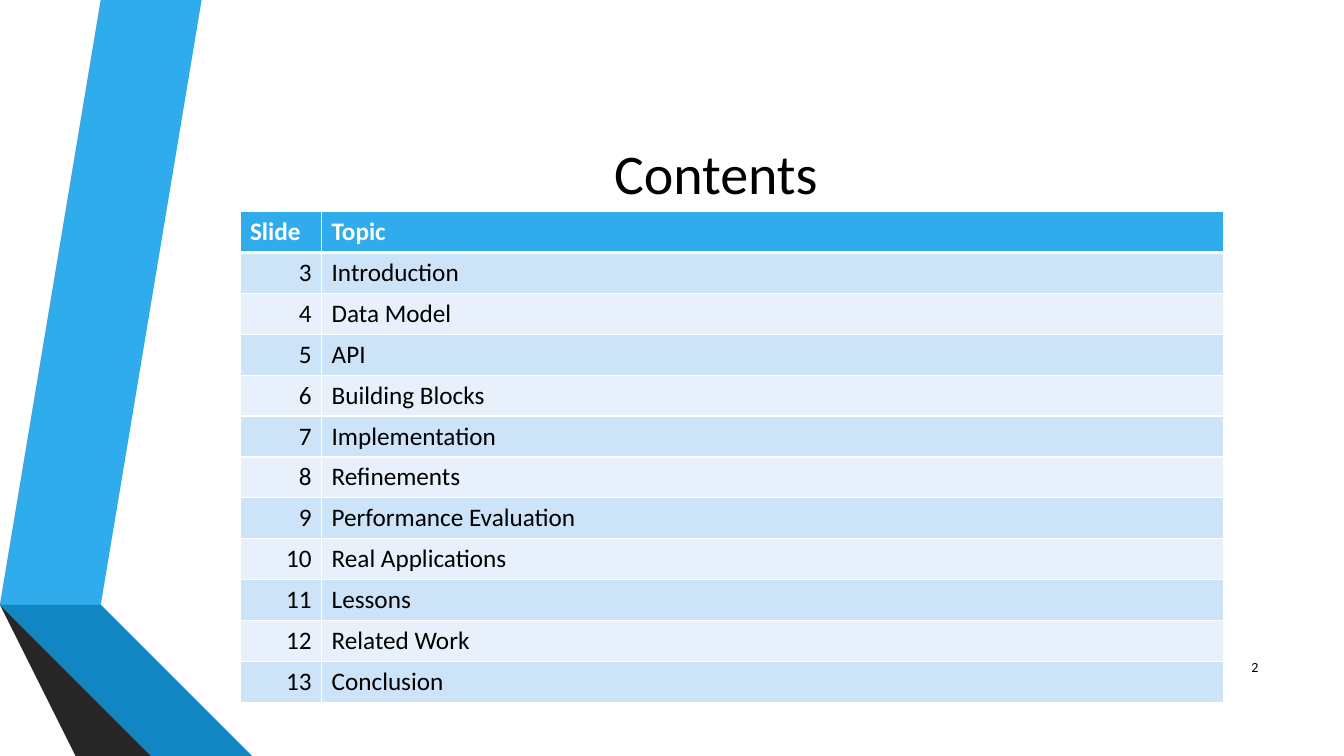
import pptx
import pptx.dml.color
import pptx.enum.text
import pptx.oxml
import pptx.oxml.ns
import pptx.util

Inches, Pt = pptx.util.Inches, pptx.util.Pt
RGBColor = pptx.dml.color.RGBColor
PP_ALIGN, MSO_ANCHOR = pptx.enum.text.PP_ALIGN, pptx.enum.text.MSO_ANCHOR

# Content
TITLE = "Contents"
PAGE_NUMBER = "2"
HEADER = ("Slide", "Topic")
FIRST_SLIDE = 3
TOPICS = ["Introduction", "Data Model", "API", "Building Blocks", "Implementation",
          "Refinements", "Performance Evaluation", "Real Applications", "Lessons",
          "Related Work", "Conclusion"]

# Style
FONT = "Calibri"
BLACK = RGBColor(0x00, 0x00, 0x00)
WHITE = RGBColor(0xFF, 0xFF, 0xFF)
BLUE = RGBColor(0x30, 0xAC, 0xEC)
MID_BLUE = RGBColor(0x12, 0x87, 0xC3)
DEEP_BLUE = RGBColor(0x0C, 0x5A, 0x82)
GREY = RGBColor(0x59, 0x59, 0x59)
DARK_GREY = RGBColor(0x40, 0x40, 0x40)
DEEP_GREY = RGBColor(0x26, 0x26, 0x26)
BANDS = (RGBColor(0xCD, 0xE3, 0xF8), RGBColor(0xE8, 0xF1, 0xFB))

# Folded ribbons: colour and corner points in inches, back to front
RIBBONS = [
    (BLUE, [(0.5, 5.78), (0.77, 5.83), (1.73, 0), (1.45, 0)]),
    (GREY, [(1.39, 0), (1.11, 0), (0.16, 5.73), (0.44, 5.77)]),
    (DEEP_GREY, [(0.16, 5.73), (1.45, 7.5), (1.51, 7.5)]),
    (DEEP_BLUE, [(0.5, 5.79), (2.08, 7.5), (2.14, 7.5)]),
    (MID_BLUE, [(0.5, 5.78), (2.14, 7.5), (2.83, 7.5), (0.77, 5.83)]),
    (DARK_GREY, [(2.02, 7.5), (0.48, 5.83), (0.44, 5.77), (0.16, 5.73), (1.51, 7.5)]),
]

# Table geometry
TABLE_LEFT, TABLE_TOP, TABLE_HEIGHT = 2.38, 2.1, 4.86
COLUMN_WIDTHS = (0.81, 8.95)


def place(sp, left, top, width, height):
    sp.left, sp.top = Inches(left), Inches(top)
    sp.width, sp.height = Inches(width), Inches(height)


def set_text(tf, text, size, align, color=BLACK, bold=False):
    tf.text = text
    p = tf.paragraphs[0]
    p.alignment = align
    p.font.name, p.font.size, p.font.bold = FONT, Pt(size), bold
    p.font.color.rgb = color


def set_borders(cell, top, bottom):
    tc_pr = cell._tc.get_or_add_tcPr()
    for side, width in (("L", 1), ("R", 1), ("T", top), ("B", bottom)):
        tc_pr.append(pptx.oxml.parse_xml(
            f'<a:ln{side} {pptx.oxml.ns.nsdecls("a")} w="{Pt(width)}">'
            f'<a:solidFill><a:srgbClr val="{WHITE}"/></a:solidFill></a:ln{side}>'))


def add_ribbons(slide):
    for color, points in RIBBONS:
        builder = slide.shapes.build_freeform(*points[0], scale=Inches(1))
        builder.add_line_segments(points[1:], close=True)
        sp = builder.convert_to_shape()
        sp.fill.solid()
        sp.fill.fore_color.rgb = color
        sp.line.fill.background()
        sp.shadow.inherit = False


def add_contents_table(slide):
    rows = [HEADER] + [(str(n), topic) for n, topic in enumerate(TOPICS, FIRST_SLIDE)]
    table = slide.shapes.add_table(
        len(rows), len(HEADER), Inches(TABLE_LEFT), Inches(TABLE_TOP),
        Inches(sum(COLUMN_WIDTHS)), Inches(TABLE_HEIGHT)).table
    for column, width in zip(table.columns, COLUMN_WIDTHS):
        column.width = Inches(width)
    for i, row in enumerate(rows):
        is_header = i == 0
        for j, text in enumerate(row):
            cell = table.cell(i, j)
            set_borders(cell, top=3 if i == 1 else 1, bottom=3 if is_header else 1)
            cell.fill.solid()
            cell.fill.fore_color.rgb = BLUE if is_header else BANDS[(i - 1) % 2]
            align = PP_ALIGN.RIGHT if j == 0 and not is_header else PP_ALIGN.LEFT
            set_text(cell.text_frame, text, 18, align,
                     WHITE if is_header else BLACK, is_header)


def main():
    prs = pptx.Presentation()
    prs.slide_width, prs.slide_height = Inches(13.33), Inches(7.5)
    slide = prs.slides.add_slide(prs.slide_layouts[5])

    add_ribbons(slide)

    # Title
    title = slide.shapes.title
    place(title, 1.62, 0.75, 10.96, 1.92)
    title.text_frame.vertical_anchor = MSO_ANCHOR.MIDDLE
    set_text(title.text_frame, TITLE, 40, PP_ALIGN.CENTER)

    add_contents_table(slide)

    # Page number
    number = slide.shapes.add_textbox(Inches(11.98), Inches(6.42), Inches(0.6), Inches(0.4))
    number.text_frame.word_wrap = True
    number.text_frame.vertical_anchor = MSO_ANCHOR.MIDDLE
    set_text(number.text_frame, PAGE_NUMBER, 10, PP_ALIGN.RIGHT)

    prs.save("out.pptx")


if __name__ == "__main__":
    main()
